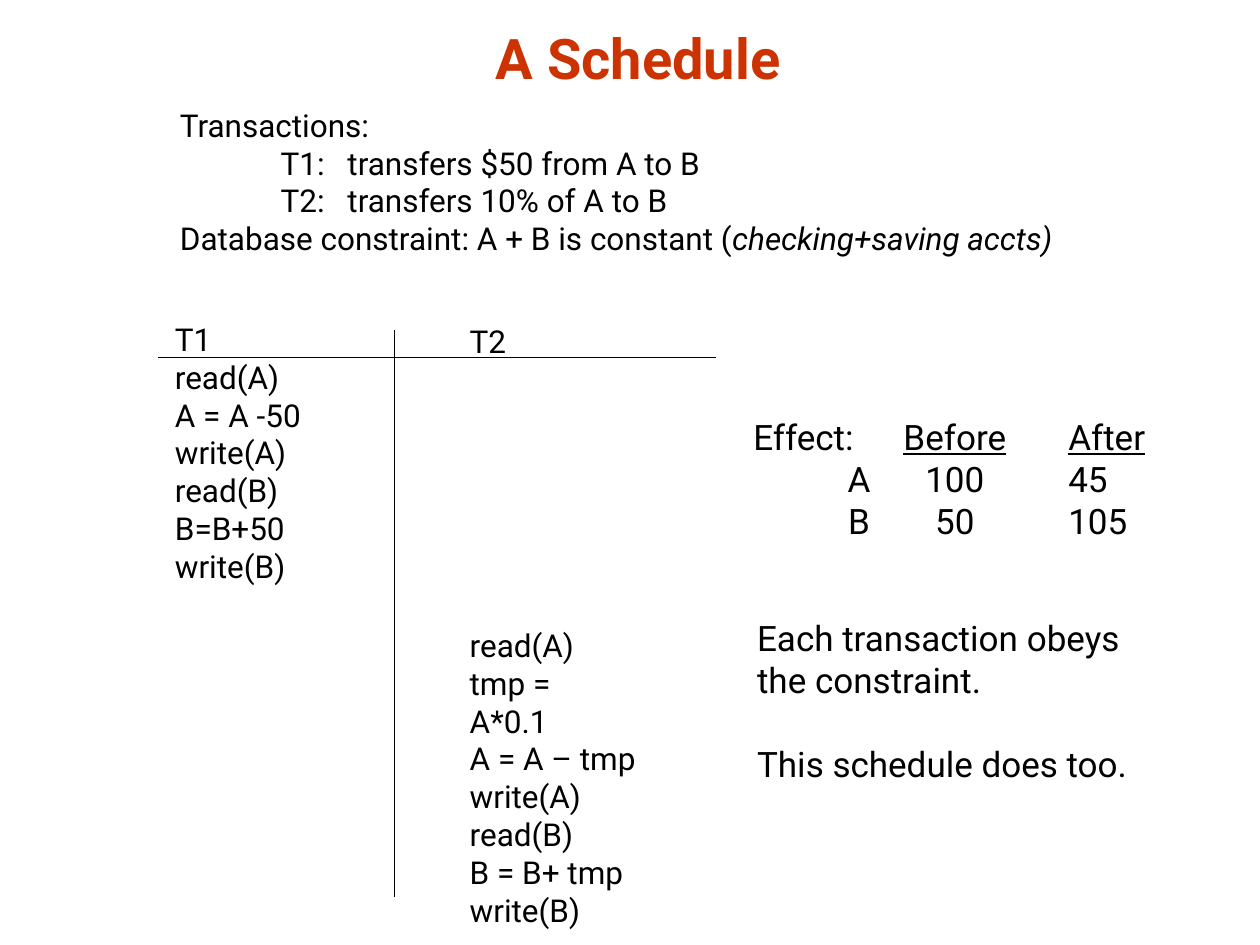
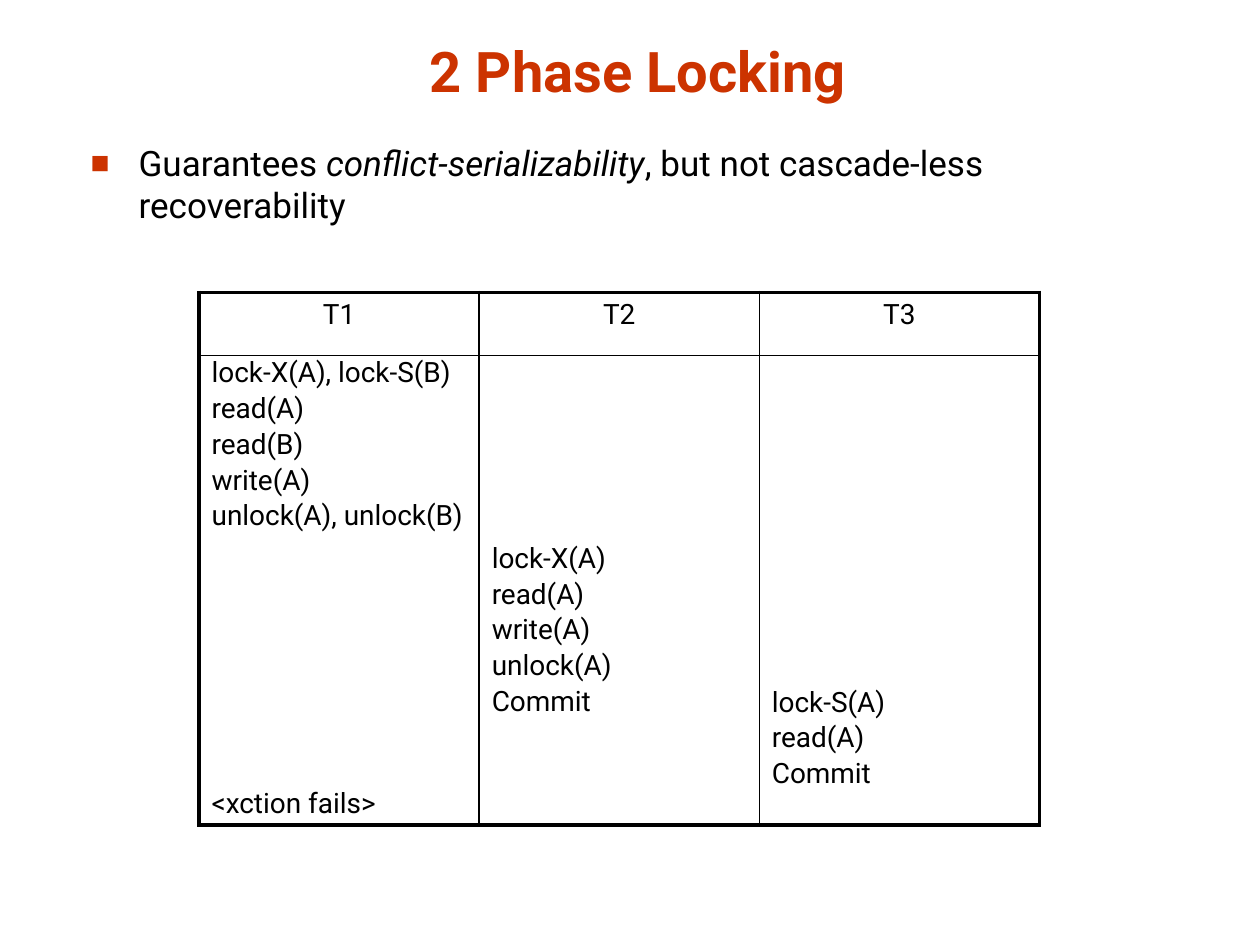
from lxml.etree import SubElement
from pptx import Presentation
from pptx.dml.color import RGBColor
from pptx.enum.shapes import MSO_CONNECTOR
from pptx.enum.text import MSO_ANCHOR, MSO_AUTO_SIZE, PP_ALIGN
from pptx.oxml.ns import qn
from pptx.util import Inches, Pt

TITLE_RED = RGBColor(0xCC, 0x33, 0x00)
BLACK = RGBColor(0, 0, 0)
WHITE = RGBColor(255, 255, 255)
FONT = "Roboto"
ITALIC = {"italic": True}
UNDERLINE = {"underline": True}

T1_STEPS = ["T1", "read(A)", "A = A -50", "write(A)", "read(B)", "B=B+50", "write(B)"]
T2_STEPS = ["read(A)", "tmp = \nA*0.1", "A = A – tmp", "write(A)", "read(B)",
            "B = B+ tmp", "write(B)"]
LOCK_COLUMNS = [
    ("T1", 0, ["lock-X(A), lock-S(B)", "read(A)", "read(B)", "write(A)",
               "unlock(A), unlock(B)", "<xction fails>"]),
    ("T2", 5, ["lock-X(A)", "read(A)", "write(A)", "unlock(A)", "Commit"]),
    ("T3", 9, ["lock-S(A)", "read(A)", "Commit"]),
]
STEP_GAP = 5.6
STEP_PITCH = 20.55
LATE_START = 3.4
FAILURE_DELAY = 7


def apply_format(target, values):
    for name, value in values.items():
        setattr(target, name, value)


def add_spans(para, spans, size, color=BLACK, **extra):
    for span in [spans] if isinstance(spans, str) else spans:
        text, style = (span, {}) if isinstance(span, str) else span
        for index, piece in enumerate(text.split("\n")):
            if index:
                para.add_line_break()
            run = para.add_run()
            run.text = piece
            apply_format(run.font, {"name": FONT, "size": Pt(size), **extra, **style})
            run.font.color.rgb = color


def write_lines(frame, lines, size):
    for index, spans in enumerate(lines):
        para = frame.paragraphs[0] if index == 0 else frame.add_paragraph()
        add_spans(para, spans, size)
    return frame.paragraphs


def add_text(page, box, lines, size):
    frame = page.shapes.add_textbox(*map(Inches, box)).text_frame
    frame.word_wrap = True
    return write_lines(frame, lines, size)


def place(shape, box):
    apply_format(shape, dict(zip(("left", "top", "width", "height"), map(Inches, box))))


def set_title(page, text, top):
    title = page.shapes.title
    place(title, (0.65, top, 8.83, 0.67))
    apply_format(title.text_frame, {"vertical_anchor": MSO_ANCHOR.BOTTOM,
                                    "auto_size": MSO_AUTO_SIZE.NONE})
    para = title.text_frame.paragraphs[0]
    para.alignment = PP_ALIGN.CENTER
    add_spans(para, text, 32, TITLE_RED, bold=True)


def set_indent(para, left, hanging):
    properties = para._p.get_or_add_pPr()
    properties.set("marL", str(Inches(left)))
    properties.set("indent", str(-Inches(hanging)))
    return properties


def add_tabs(para, stops):
    tabs = SubElement(para._p.get_or_add_pPr(), qn("a:tabLst"))
    for position, alignment in stops:
        SubElement(tabs, qn("a:tab"), pos=str(Inches(position)), algn=alignment)


def add_rule(page, start, end):
    rule = page.shapes.add_connector(MSO_CONNECTOR.STRAIGHT, *map(Inches, start + end))
    rule.line.color.rgb = BLACK
    rule.line.width = Pt(0.75)
    SubElement(rule._element.spPr, qn("a:effectLst"))


def add_transactions(page, box):
    paras = add_text(page, box, [
        "Transactions:",
        "T1:\ttransfers $50 from A to B",
        "T2:\ttransfers 10% of A to B",
        ["Database constraint: A + B is constant (", ("checking+saving accts)", ITALIC)],
    ], 18)
    for para in paras[1:3]:
        set_indent(para, 1.33, 0.53)


def add_schedule_grid(page, box):
    left, top, width, height = box
    add_text(page, (left + 0.04, top - 0.13, 1.4, 2.2), T1_STEPS, 18)
    add_text(page, (left + 2.38, top - 0.11, 0.6, 0.4), ["T2"], 18)
    add_text(page, (left + 2.38, top + 2.3, 1.8, 2.5), T2_STEPS, 18)
    add_rule(page, (left, top + 0.22), (left + width, top + 0.22))
    add_rule(page, (left + 1.88, top), (left + 1.88, top + height))


def add_effect(page, box):
    paras = add_text(page, box, [
        ["Effect:\t", ("Before", UNDERLINE), "\t", ("After", UNDERLINE)],
        "\tA\t100\t45",
        "\tB\t50\t105",
    ], 20)
    value_stops = [(1.6, "ctr"), (2.5, "l")]
    for index, para in enumerate(paras):
        add_tabs(para, value_stops if index == 0 else [(0.84, "ctr")] + value_stops)


def add_conclusion(page, box):
    paras = add_text(page, box, ["Each transaction obeys the constraint.",
                                 "This schedule does too."], 20)
    paras[1].space_before = Pt(24)


def build_schedule(deck):
    page = deck.slides.add_slide(deck.slide_layouts[5])
    set_title(page, "A Schedule", 0.1)
    add_transactions(page, (1.33, 0.79, 7.4, 1.3))
    add_schedule_grid(page, (1.25, 2.62, 4.43, 4.5))
    add_effect(page, (5.88, 3.25, 3.38, 1.1))
    add_conclusion(page, (5.91, 4.84, 3.38, 1.77))


def fill_guarantee(body, box):
    place(body, box)
    body.text_frame.auto_size = MSO_AUTO_SIZE.NONE
    para = body.text_frame.paragraphs[0]
    properties = set_indent(para, 0.38, 0.38)
    color = SubElement(properties, qn("a:buClr"))
    SubElement(color, qn("a:srgbClr"), val=str(TITLE_RED))
    SubElement(properties, qn("a:buSzPct"), val="90000")
    SubElement(properties, qn("a:buChar"), char="■")
    para.space_before = Pt(0)
    add_spans(para, ["Guarantees ", ("conflict-serializability", ITALIC),
                     ", but not cascade-less recoverability"], 20)


def set_borders(cell, widths):
    properties = cell._tc.get_or_add_tcPr()
    for index, (side, width) in enumerate(widths.items()):
        line = SubElement(properties, qn(f"a:ln{side}"), w=str(Pt(width)))
        fill = SubElement(line, qn("a:solidFill"))
        SubElement(fill, qn("a:srgbClr"), val=str(BLACK))
        properties.insert(index, line)


def add_lock_table(page, box):
    count = len(LOCK_COLUMNS)
    table = page.shapes.add_table(2, count, *map(Inches, box)).table
    apply_format(table, {"first_row": False, "horz_banding": False})
    table.rows[0].height = Inches(0.5)
    table.rows[1].height = Inches(box[3] - 0.5)
    for column, (name, delay, steps) in enumerate(LOCK_COLUMNS):
        head, body = table.cell(0, column), table.cell(1, column)
        write_lines(head.text_frame, [name], 16)[0].alignment = PP_ALIGN.CENTER
        paras = write_lines(body.text_frame, steps, 16)
        for index, para in enumerate(paras):
            para.line_spacing = 0.8
            para.space_before = Pt(STEP_GAP if index else 0)
        if delay:
            body.margin_top = Inches(0.05) + Pt(delay * STEP_PITCH + LATE_START)
        else:
            paras[-1].space_before = Pt(STEP_GAP + FAILURE_DELAY * STEP_PITCH)
        for row, cell in enumerate((head, body)):
            cell.fill.solid()
            cell.fill.fore_color.rgb = WHITE
            outer = {"L": column == 0, "R": column == count - 1, "T": row == 0, "B": row == 1}
            set_borders(cell, {side: 2.25 if edge else 1 for side, edge in outer.items()})


def build_locking(deck):
    page = deck.slides.add_slide(deck.slide_layouts[1])
    set_title(page, "2 Phase Locking", 0.2)
    fill_guarantee(page.placeholders[1], (0.62, 1.07, 8.58, 5.33))
    add_lock_table(page, (1.58, 2.32, 6.67, 4.22))


def main():
    deck = Presentation()
    apply_format(deck, {"slide_width": Inches(10), "slide_height": Inches(7.5)})
    build_schedule(deck)
    build_locking(deck)
    deck.save("out.pptx")


if __name__ == "__main__":
    main()
